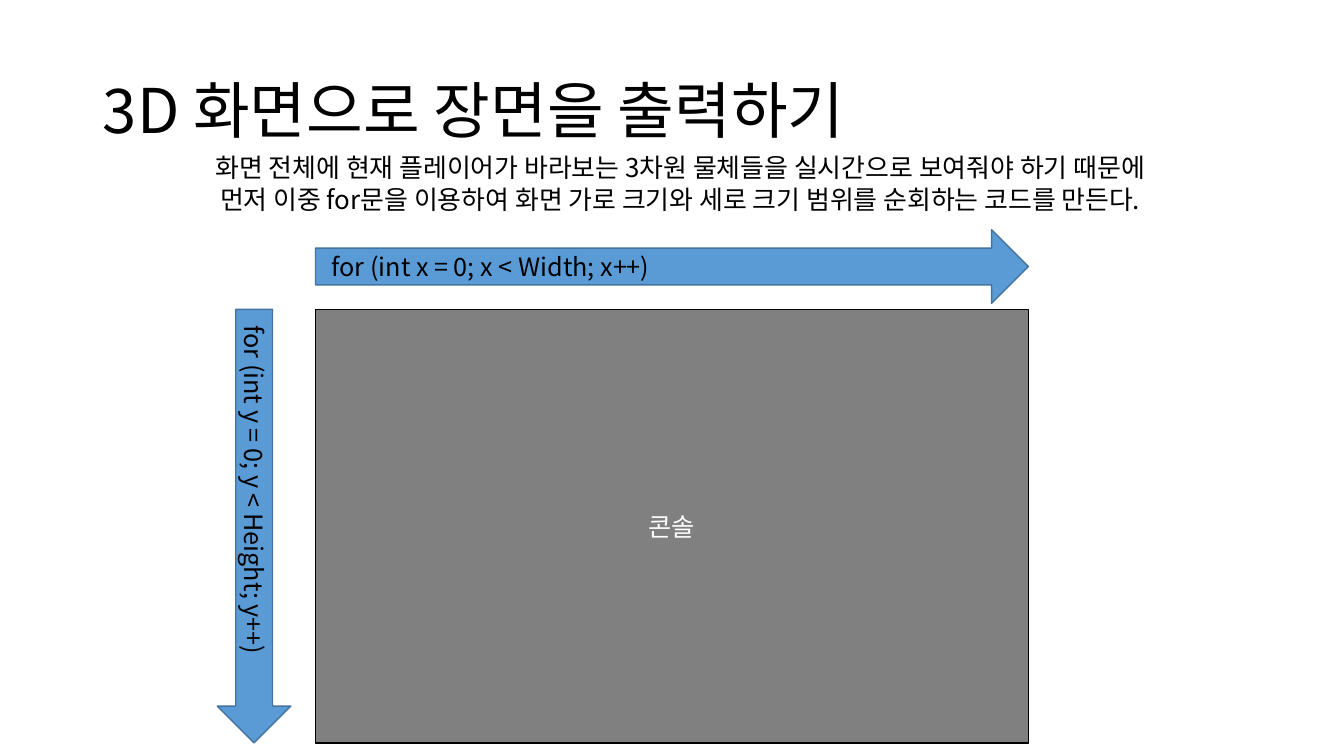
from dataclasses import dataclass

from lxml.etree import SubElement
from pptx import Presentation
from pptx.dml.color import RGBColor
from pptx.enum.shapes import MSO_SHAPE as Preset
from pptx.enum.text import MSO_ANCHOR as Anchor, MSO_AUTO_SIZE as AutoSize, PP_ALIGN as Align
from pptx.oxml.ns import qn
from pptx.slide import Slide
from pptx.text.text import TextFrame
from pptx.util import Inches, Pt

FONT = "Noto Sans CJK KR"
BLACK, WHITE = "000000", "FFFFFF"
LOOP_FILL, LOOP_LINE = "5B9BD5", "43739E"
CONSOLE_FILL = "808080"
CONSOLE_LEFT, CONSOLE_TOP = 3.13, 3.07
CONSOLE_WIDTH, CONSOLE_HEIGHT = 7.07, 4.3
ARROW_THICKNESS = 0.73
COLUMN_CENTER_X, COLUMN_CENTER_Y = 2.52, CONSOLE_TOP + CONSOLE_HEIGHT / 2

TITLE = "3D 화면으로 장면을 출력하기"
EXPLANATION = [
    "화면 전체에 현재 플레이어가 바라보는 3차원 물체들을 실시간으로 보여줘야 하기 때문에",
    "먼저 이중 for문을 이용하여 화면 가로 크기와 세로 크기 범위를 순회하는 코드를 만든다.",
]


@dataclass(frozen=True)
class Block:
    preset: Preset
    label: str
    left: float
    top: float
    width: float
    height: float
    fill: str
    line: str
    text_color: str
    align: Align
    margin_left: float = 0.1
    rotation: float = 0


def loop_arrow(label: str, left: float, top: float, length: float, rotation: float = 0) -> Block:
    return Block(Preset.RIGHT_ARROW, label, left, top, length, ARROW_THICKNESS,
                 LOOP_FILL, LOOP_LINE, BLACK, Align.LEFT, 0.16, rotation)


BLOCKS = [
    Block(Preset.RECTANGLE, "콘솔", CONSOLE_LEFT, CONSOLE_TOP, CONSOLE_WIDTH, CONSOLE_HEIGHT,
          CONSOLE_FILL, BLACK, WHITE, Align.CENTER),
    loop_arrow("for (int x = 0; x < Width; x++)", CONSOLE_LEFT, 2.28, CONSOLE_WIDTH),
    loop_arrow("for (int y = 0; y < Height; y++)", COLUMN_CENTER_X - CONSOLE_HEIGHT / 2,
               COLUMN_CENTER_Y - ARROW_THICKNESS / 2, CONSOLE_HEIGHT, 90),
]


def rgb(color: str) -> RGBColor:
    return RGBColor.from_string(color)


def apply(target: object, formats: dict) -> None:
    for name, value in formats.items():
        setattr(target, name, value)


def write(frame: TextFrame, lines: list[str], size: float, color: str,
          frame_format: dict, paragraph_format: dict) -> None:
    """Fill a frame with one formatted paragraph per line, in Latin and Korean type."""
    apply(frame, {"word_wrap": True, "auto_size": AutoSize.NONE, **frame_format})
    for index, line in enumerate(lines):
        paragraph = frame.add_paragraph() if index else frame.paragraphs[0]
        apply(paragraph, paragraph_format)
        run = paragraph.add_run()
        run.text = line
        apply(run.font, {"name": FONT, "size": Pt(size)})
        run.font.color.rgb = rgb(color)
        SubElement(run.font._element, qn("a:ea"), typeface=FONT)


def add_title(slide: Slide) -> None:
    title = slide.shapes.title
    apply(title, {"left": Inches(0.92), "top": Inches(0.4),
                  "width": Inches(11.5), "height": Inches(1.45)})
    write(title.text_frame, [TITLE], 44, BLACK, {"vertical_anchor": Anchor.MIDDLE},
          {"alignment": Align.LEFT, "line_spacing": 0.9})


def add_explanation(slide: Slide) -> None:
    box = slide.shapes.add_textbox(Inches(0.39), Inches(1.54), Inches(12.71), Inches(0.73))
    write(box.text_frame, EXPLANATION, 18.5, BLACK, {"vertical_anchor": Anchor.TOP},
          {"alignment": Align.CENTER, "line_spacing": 0.7, "space_before": Pt(7)})


def add_block(slide: Slide, block: Block) -> None:
    shape = slide.shapes.add_shape(block.preset, Inches(block.left), Inches(block.top),
                                   Inches(block.width), Inches(block.height))
    shape.rotation = block.rotation
    shape.shadow.inherit = False
    shape.fill.solid()
    shape.fill.fore_color.rgb = rgb(block.fill)
    shape.line.color.rgb = rgb(block.line)
    shape.line.width = Pt(1)
    write(shape.text_frame, [block.label], 18, block.text_color,
          {"vertical_anchor": Anchor.MIDDLE, "margin_left": Inches(block.margin_left)},
          {"alignment": block.align})


def main() -> None:
    deck = Presentation()
    apply(deck, {"slide_width": Inches(13.33), "slide_height": Inches(7.5)})
    slide = deck.slides.add_slide(deck.slide_layouts.get_by_name("Title Only"))
    add_title(slide)
    add_explanation(slide)
    for block in BLOCKS:
        add_block(slide, block)
    deck.save("out.pptx")


if __name__ == "__main__":
    main()
